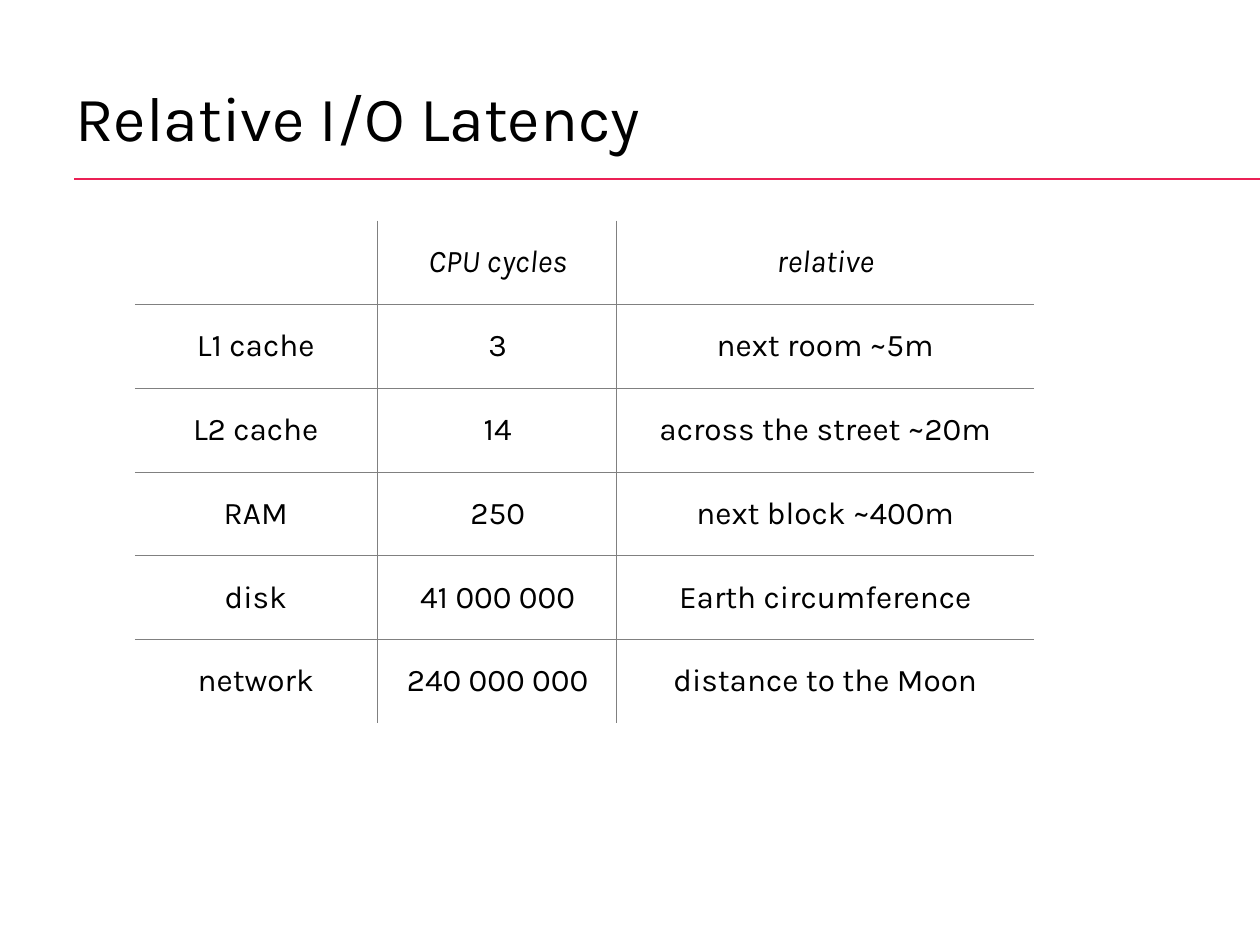
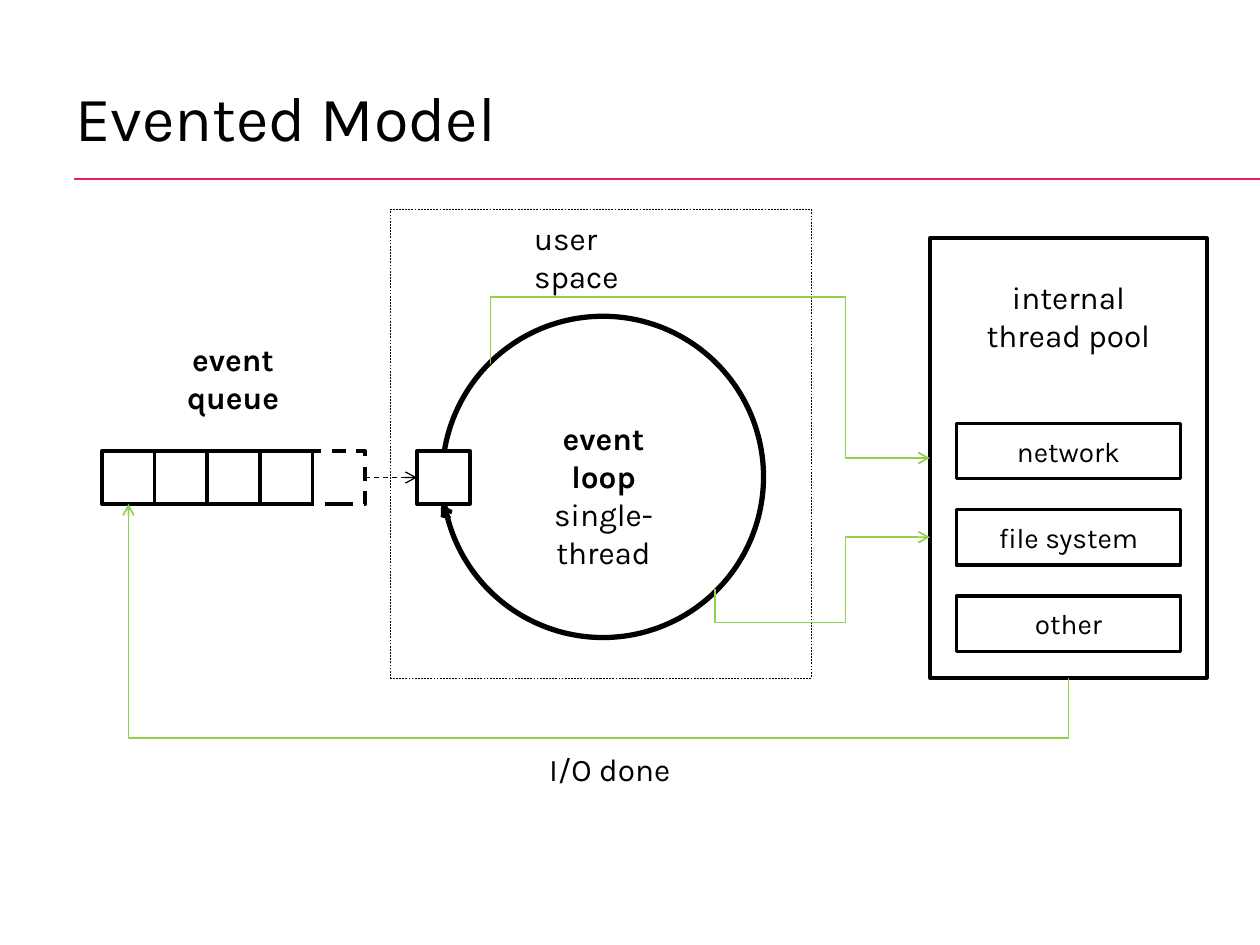
from collections import namedtuple

from lxml.etree import SubElement
from pptx import Presentation
from pptx.dml.color import RGBColor
from pptx.enum.dml import MSO_LINE
from pptx.enum.shapes import MSO_CONNECTOR, MSO_SHAPE
from pptx.enum.text import MSO_ANCHOR, PP_ALIGN
from pptx.oxml.ns import qn
from pptx.util import Inches, Pt

BLACK = RGBColor(0x00, 0x00, 0x00)
WHITE = RGBColor(0xFF, 0xFF, 0xFF)
GREY = RGBColor(0x80, 0x80, 0x80)
PINK = RGBColor(0xEB, 0x20, 0x55)
GREEN = RGBColor(0x92, 0xD0, 0x50)
FONT = "Karla"
WIDE, HIGH = Inches(10), Inches(7.5)
UNIT = WIDE / 100
CELL = 4.2
STEP = 4.17


class Box(namedtuple("Box", "x y w h")):
    """A box on a grid of 100 columns and 75 rows."""

    def inner(self, x, y, w, h):
        """Return a box placed from this box's top left corner."""
        return Box(self.x + x, self.y + y, w, h)

    def point(self, right, down):
        """Return the point at the given shares of this box."""
        return self.x + right * self.w, self.y + down * self.h


def grid(*sizes):
    """Turn grid units into slide lengths."""
    return [round(size * UNIT) for size in sizes]


def style(par, size, bold=False, italic=False, align=PP_ALIGN.CENTER):
    """Set the font and alignment of a paragraph."""
    par.alignment = align
    font = par.font
    font.name, font.size = FONT, Pt(size)
    font.bold, font.italic = bold, italic
    font.color.rgb = BLACK


def label(slide, box, lines, size=18, bold=0, wrap=False,
          align=PP_ALIGN.CENTER, anchor=MSO_ANCHOR.TOP):
    """Write lines of text, the first few of them bold."""
    frame = slide.shapes.add_textbox(*grid(*box)).text_frame
    frame.word_wrap, frame.vertical_anchor = wrap, anchor
    frame.text = "\n".join(lines)
    for index, par in enumerate(frame.paragraphs):
        style(par, size, bold=index < bold, align=align)


def pen(line, color, width, dash=None, arrow=False):
    """Set the stroke of a line."""
    line.color.rgb, line.width = color, Pt(width)
    if dash:
        line.dash_style = dash
    if arrow:
        SubElement(line._get_or_add_ln(), qn("a:tailEnd"), type="arrow")


def shape(slide, box, kind=MSO_SHAPE.RECTANGLE, fill=WHITE, width=2, dash=None):
    """Draw an outlined shape."""
    item = slide.shapes.add_shape(kind, *grid(*box))
    item.shadow.inherit = False
    if fill is None:
        item.fill.background()
    else:
        item.fill.solid()
        item.fill.fore_color.rgb = fill
    pen(item.line, BLACK, width, dash)
    return item


def rule(slide, start, end, color, width, dash=None, arrow=False):
    """Draw a straight line."""
    item = slide.shapes.add_connector(
        MSO_CONNECTOR.STRAIGHT, *grid(*start), *grid(*end))
    pen(item.line, color, width, dash, arrow)
    SubElement(item._element.spPr, qn("a:effectLst"))


def wire(slide, *points):
    """Draw a green bent arrow through the points."""
    first, *rest = [grid(*point) for point in points]
    trail = slide.shapes.build_freeform(*first)
    trail.add_line_segments(rest, close=False)
    item = trail.convert_to_shape()
    item.shadow.inherit = False
    item.fill.background()
    pen(item.line, GREEN, 1, arrow=True)


def page(deck, title):
    """Add a slide with its title and pink rule."""
    slide = deck.slides.add_slide(deck.slide_layouts[6])
    rule(slide, (5.9, 14.2), (100, 14.2), PINK, 1)
    label(slide, Box(5, 3, 90, 12.5), [title], 36, wrap=True,
          align=PP_ALIGN.LEFT, anchor=MSO_ANCHOR.MIDDLE)
    return slide


def edge(cell, sides):
    """Draw thin grey borders on some sides of a cell and clear the others."""
    props = cell._tc.get_or_add_tcPr()
    for index, side in enumerate("LRTB"):
        line = props.makeelement(qn("a:ln" + side), {"w": str(Pt(0.25))})
        props.insert(index, line)
        if side in sides:
            fill = SubElement(line, qn("a:solidFill"))
            SubElement(fill, qn("a:srgbClr"), val=str(GREY))
        else:
            SubElement(line, qn("a:noFill"))


def table(slide, box, rows, left=False):
    """Draw a table with inner rules, and a left rule if asked."""
    tall, broad = len(rows), len(rows[0])
    item = slide.shapes.add_table(tall, broad, *grid(*box)).table
    item.first_row = item.horz_banding = False
    for r, row in enumerate(rows):
        for c, text in enumerate(row):
            cell = item.cell(r, c)
            cell.fill.background()
            cell.vertical_anchor = MSO_ANCHOR.MIDDLE
            cell.text = text
            style(cell.text_frame.paragraphs[0], 18, italic=r == 0)
            tests = {"L": c > 0 or left, "R": c < broad - 1,
                     "T": r > 0, "B": r < tall - 1}
            edge(cell, [side for side, on in tests.items() if on])


def queue(slide, box):
    """Draw the event queue with its open last cell."""
    label(slide, box.inner(5.7, -9.3, 9.4, 7.1), ["event", "queue"], bold=2)
    for index in (4, 3, 0, 1, 2):
        shape(slide, box.inner(index * STEP, 0, CELL, CELL),
              dash=MSO_LINE.DASH if index == 4 else None)


def loop(slide, box):
    """Draw the event loop in user space and return its ring and head."""
    ring = box.inner(4.1, 8.5, 25.5, 25.5)
    head = box.inner(2.1, 19.2, CELL, CELL)
    shape(slide, ring, MSO_SHAPE.OVAL, fill=None, width=3)
    shape(slide, head)
    label(slide, box.inner(8.5, 16.2, 16.8, 10.1),
          ["event", "loop", "single-thread"], bold=2, wrap=True)
    rule(slide, box.point(0.14, 0.66), box.point(0.12, 0.63),
         BLACK, 2.25, arrow=True)
    shape(slide, box, fill=None, width=0.25, dash=MSO_LINE.DASH)
    label(slide, box.inner(10.4, 0.3, 13.7, 4), ["user space"],
          wrap=True, align=PP_ALIGN.LEFT)
    return ring, head


def pool(slide, box, tasks):
    """Draw the thread pool and its tasks."""
    shape(slide, box)
    label(slide, box.inner(3.5, 2.7, 15, 7.1), ["internal", "thread pool"])
    for index, task in enumerate(tasks):
        item = shape(slide, box.inner(2.1, 14.7 + index * 6.85, 17.8, 4.4))
        item.text_frame.text = task
        item.text_frame.vertical_anchor = MSO_ANCHOR.MIDDLE
        style(item.text_frame.paragraphs[0], 16)


def wires(slide, line, ring, head, work):
    """Join the queue, the loop and the pool."""
    rule(slide, line.point(1, 0.5), head.point(0, 0.5), BLACK, 0.75,
         MSO_LINE.DASH, True)
    bend = work.x - 6.7
    for spot, turn, share in ((0.15, 23.6, 0.5), (0.85, 49.4, 0.68)):
        start, end = ring.point(spot, spot), work.point(0, share)
        wire(slide, start, (start[0], turn), (bend, turn), (bend, end[1]), end)
    start, end = work.point(0.5, 1), (line.x + CELL / 2, line.y + CELL)
    wire(slide, start, (start[0], 58.6), (end[0], 58.6), end)
    label(slide, Box(42.6, 59, 12, 4), ["I/O done"], align=PP_ALIGN.LEFT)


def latency(deck):
    """Build the latency slide."""
    slide = page(deck, "Relative I/O Latency")
    table(slide, Box(10.7, 17.5, 38.4, 39.9), [
        ("", "CPU cycles"), ("L1 cache", "3"), ("L2 cache", "14"),
        ("RAM", "250"), ("disk", "41 000 000"), ("network", "240 000 000")])
    table(slide, Box(48.9, 17.5, 33.2, 39.9), [
        ("relative",), ("next room ~5m",), ("across the street ~20m",),
        ("next block ~400m",), ("Earth circumference",),
        ("distance to the Moon",)], left=True)


def model(deck):
    """Build the evented model slide."""
    slide = page(deck, "Evented Model")
    line = Box(8.1, 35.8, 4 * STEP + CELL, CELL)
    work = Box(73.8, 18.9, 22, 34.9)
    queue(slide, line)
    ring, head = loop(slide, Box(31, 16.6, 33.4, 37.2))
    pool(slide, work, ["network", "file system", "other"])
    wires(slide, line, ring, head, work)


deck = Presentation()
deck.slide_width, deck.slide_height = WIDE, HIGH
latency(deck)
model(deck)
deck.save("out.pptx")
